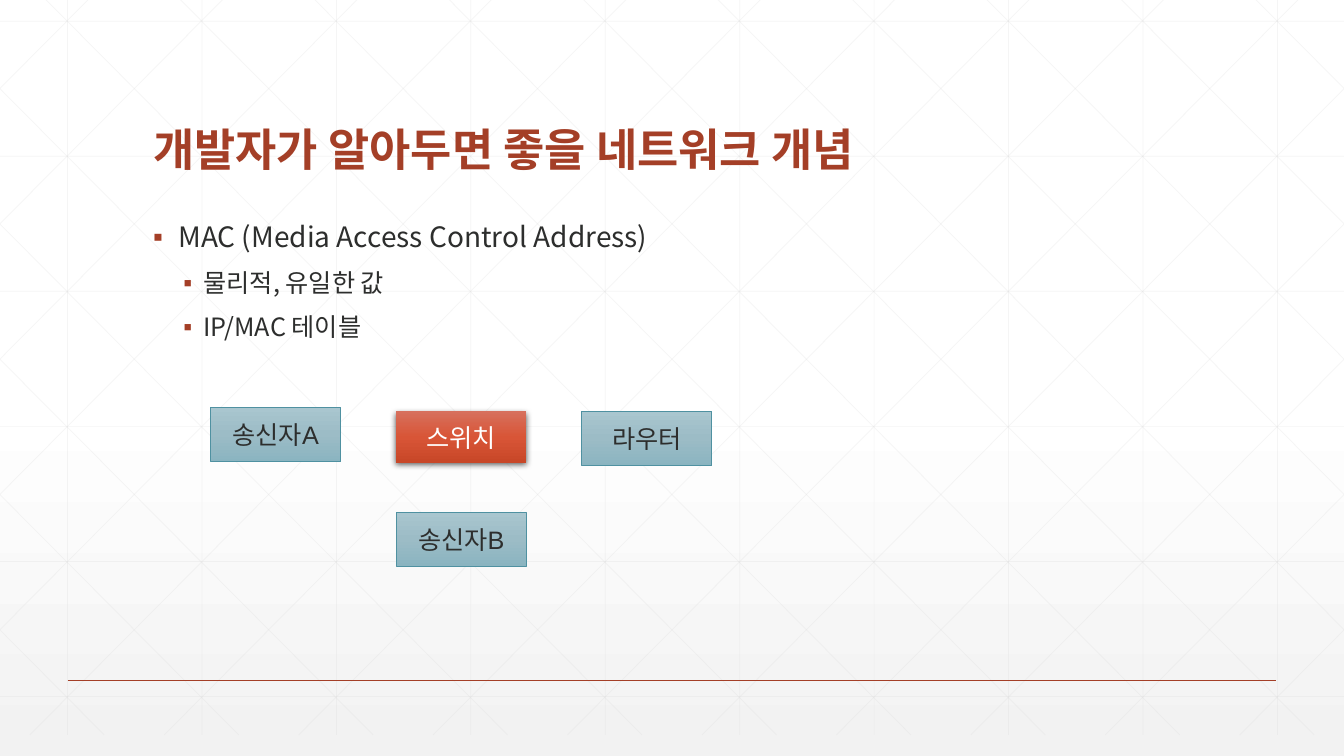
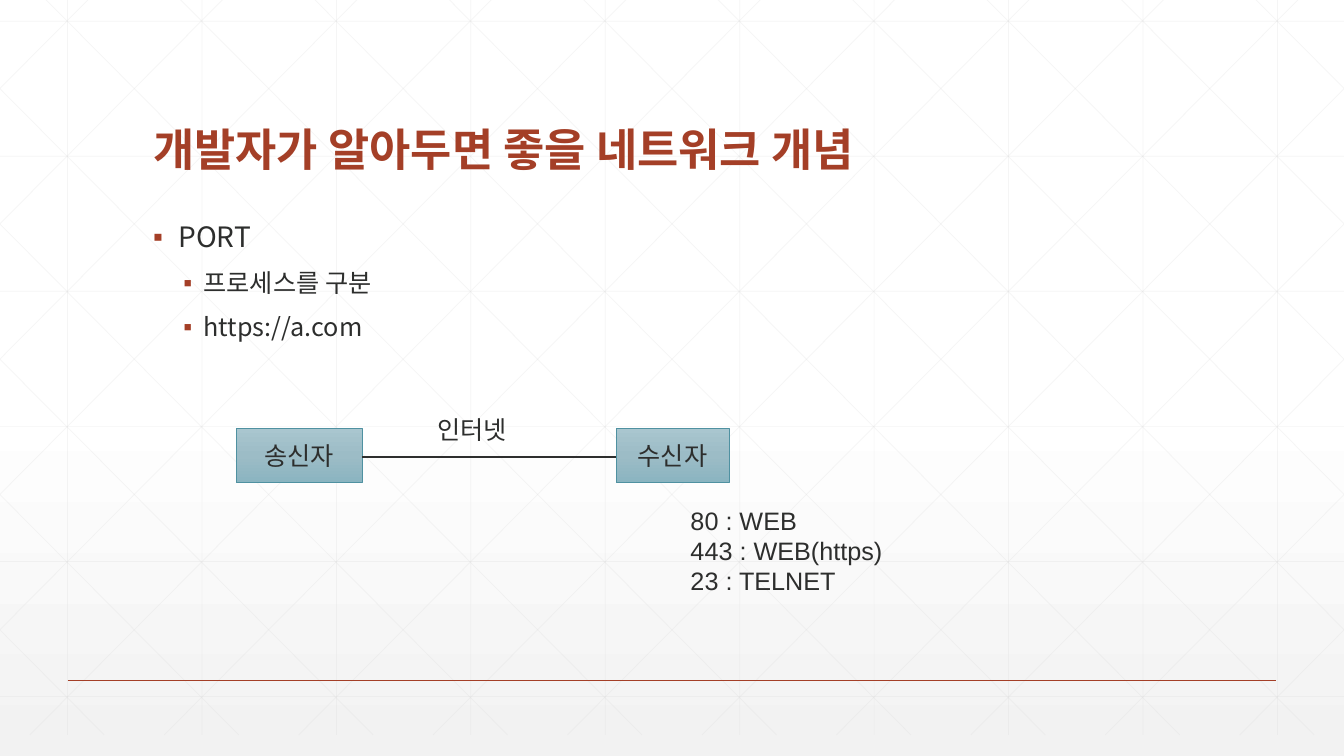
from copy import deepcopy
from dataclasses import dataclass

from lxml import etree
from pptx import Presentation
from pptx.dml.color import RGBColor
from pptx.enum import shapes, text
from pptx.oxml.ns import qn
from pptx.util import Inches, Pt


@dataclass(frozen=True)
class Theme:
    accent: str = "A43F27"
    ink: str = "2D2E2D"
    white: str = "FFFFFF"
    grid: str = "D9D9D9"
    box_line: str = "4F91A1"
    backdrop: tuple[str, ...] = ("FFFFFF", "FFFFFF", "F2F2F2")
    box_fill: tuple[str, ...] = ("A9C6CF", "9CBCC6", "8AB4C0")
    switch_fill: tuple[str, ...] = ("D7705D", "D85537", "C84728")
    heading_font: str = "Noto Sans CJK KR"
    label_font: str = "Arial"
    title_size: int = 32
    topic_size: int = 20
    text_size: int = 18


@dataclass(frozen=True)
class Box:
    label: str
    left: float
    top: float
    width: float = 1.29
    height: float = 0.54
    raised: bool = False


@dataclass(frozen=True)
class Note:
    lines: str
    left: float
    top: float
    width: float
    height: float


THEME = Theme()
TITLE = "개발자가 알아두면 좋을 네트워크 개념"
WIDTH, HEIGHT = 13.33, 7.5
GRID_TOP, GRID_BOTTOM = -0.21, 7.29
COLUMN_STEP, ROW_STEP = 4 / 3, 1.34
DIAGONAL_RUN = 7.45
MARGIN = 0.67


def style_runs(p, font: str, size: int, color: str, bold: bool = False) -> None:
    for r in p.runs:
        r.font.name = font
        r.font.size = Pt(size)
        r.font.bold = bold
        r.font.color.rgb = RGBColor.from_string(color)
        east_asian = etree.SubElement(r._r.get_or_add_rPr(), qn("a:ea"))
        east_asian.set("typeface", THEME.heading_font)


def apply_gradient(fill, element, colors: tuple[str, ...], middle: float = 0.5) -> None:
    """Give the fill three stops running from top to bottom."""
    fill.gradient()
    fill.gradient_angle = 270
    stop_list = next(element.iter(qn("a:gsLst")))
    stop_list.insert(1, deepcopy(stop_list[0]))
    for stop, color, position in zip(fill.gradient_stops, colors, (0, middle, 1)):
        stop.color.rgb = RGBColor.from_string(color)
        stop.position = position


def add_line(
    parent,
    start: tuple[float, float],
    end: tuple[float, float],
    color: str,
    width: float,
    opacity: int = 100,
) -> None:
    c = parent.add_connector(
        shapes.MSO_CONNECTOR.STRAIGHT, *(Inches(v) for v in (*start, *end))
    )
    c.line.width = Pt(width)
    c.line.color.rgb = RGBColor.from_string(color)
    if opacity < 100:
        rgb = next(c.element.iter(qn("a:srgbClr")))
        etree.SubElement(rgb, qn("a:alpha")).set("val", str(opacity * 1000))
    etree.SubElement(c.element.spPr, qn("a:effectLst"))


def grid_lines() -> list[tuple[tuple[float, float], tuple[float, float]]]:
    """Columns, rows, and mirrored diagonals clipped to the slide's sides."""
    lines = []
    for i in range(10):
        x = MARGIN + COLUMN_STEP * i
        lines.append(((x, GRID_TOP), (x, GRID_BOTTOM)))
    for i in range(6):
        y = 0.21 + ROW_STEP * i
        lines.append(((0, y), (WIDTH, y)))
    slope = (GRID_BOTTOM - GRID_TOP) / DIAGONAL_RUN
    for i in range(-5, 10):
        x = 0.25 + COLUMN_STEP * i
        x1, x2 = max(x, 0), min(x + DIAGONAL_RUN, WIDTH)
        y1, y2 = (GRID_TOP + (edge - x) * slope for edge in (x1, x2))
        lines.append(((x1, y1), (x2, y2)))
        lines.append(((WIDTH - x1, y1), (WIDTH - x2, y2)))
    return lines


def decorate_layout(layout, s) -> None:
    """Draw the backdrop on a slide, then hand it to the layout all slides share."""
    apply_gradient(layout.background.fill, layout.element, THEME.backdrop, 0.53)
    for ph in list(layout.placeholders):
        if ph.placeholder_format.idx != 0:
            ph.element.getparent().remove(ph.element)
    backdrop = s.shapes.add_group_shape()
    for start, end in grid_lines():
        add_line(backdrop.shapes, start, end, THEME.grid, 0.5, opacity=25)
    add_line(
        backdrop.shapes, (MARGIN, 6.75), (WIDTH - MARGIN, 6.75), THEME.accent, 1
    )
    layout.shapes.element.append(backdrop.element)


def set_title(s) -> None:
    sp = s.shapes.title
    sp.left, sp.top = Inches(1.42), Inches(0.55)
    sp.width, sp.height = Inches(10.5), Inches(1.25)
    tf = sp.text_frame
    tf.text = TITLE
    tf.vertical_anchor = text.MSO_ANCHOR.BOTTOM
    p = tf.paragraphs[0]
    p.alignment = text.PP_ALIGN.LEFT
    p.line_spacing = 0.9
    style_runs(p, THEME.heading_font, THEME.title_size, THEME.accent, bold=True)


def add_bullet(p, left: float, hanging: float) -> None:
    pPr = p._p.get_or_add_pPr()
    pPr.set("marL", str(Inches(left)))
    pPr.set("indent", str(-Inches(hanging)))
    color = etree.SubElement(pPr, qn("a:buClr"))
    etree.SubElement(color, qn("a:srgbClr")).set("val", THEME.accent)
    etree.SubElement(pPr, qn("a:buFont")).set("typeface", THEME.label_font)
    etree.SubElement(pPr, qn("a:buChar")).set("char", "▪")


def add_topic(s, topic: str, details: list[str]) -> None:
    sp = s.shapes.add_textbox(Inches(1.42), Inches(2.17), Inches(10.5), Inches(4.17))
    tf = sp.text_frame
    tf.word_wrap = True
    tf.auto_size = text.MSO_AUTO_SIZE.TEXT_TO_FIT_SHAPE
    tf.text = "\n".join([topic, *details])
    for i, p in enumerate(tf.paragraphs):
        p.line_spacing = 0.9
        if i == 0:
            add_bullet(p, 0.25, 0.25)
            size = THEME.topic_size
        else:
            p.level = 1
            p.space_before = Pt(12)
            add_bullet(p, 0.5, 0.2)
            size = THEME.text_size
        style_runs(p, THEME.heading_font, size, THEME.ink)


def add_shadow(sp) -> None:
    effects = sp.element.spPr.find(qn("a:effectLst"))
    shadow = etree.SubElement(
        effects,
        qn("a:outerShdw"),
        blurRad=str(Pt(4.5)),
        dist=str(Pt(1.5)),
        dir="5400000",
        rotWithShape="0",
    )
    color = etree.SubElement(shadow, qn("a:srgbClr"), val="000000")
    etree.SubElement(color, qn("a:alpha"), val="63000")


def add_box(s, box: Box) -> None:
    sp = s.shapes.add_shape(
        shapes.MSO_SHAPE.RECTANGLE,
        *(Inches(v) for v in (box.left, box.top, box.width, box.height)),
    )
    sp.shadow.inherit = False
    fill = THEME.switch_fill if box.raised else THEME.box_fill
    apply_gradient(sp.fill, sp.element, fill)
    if box.raised:
        sp.line.fill.background()
        add_shadow(sp)
    else:
        sp.line.color.rgb = RGBColor.from_string(THEME.box_line)
        sp.line.width = Pt(0.5)
    tf = sp.text_frame
    tf.text = box.label
    tf.vertical_anchor = text.MSO_ANCHOR.MIDDLE
    p = tf.paragraphs[0]
    p.alignment = text.PP_ALIGN.CENTER
    color = THEME.white if box.raised else THEME.ink
    style_runs(p, THEME.label_font, THEME.text_size, color)


def add_note(s, note: Note) -> None:
    sp = s.shapes.add_textbox(
        *(Inches(v) for v in (note.left, note.top, note.width, note.height))
    )
    tf = sp.text_frame
    tf.text = note.lines
    tf.word_wrap = False
    tf.auto_size = text.MSO_AUTO_SIZE.SHAPE_TO_FIT_TEXT
    for p in tf.paragraphs:
        style_runs(p, THEME.label_font, THEME.text_size, THEME.ink)


def fill_mac_slide(s) -> None:
    set_title(s)
    add_topic(
        s,
        "MAC (Media Access Control Address)",
        ["물리적, 유일한 값", "IP/MAC 테이블"],
    )
    sender_x, switch_x, router_x = (2.09 + 1.84 * i for i in range(3))
    for box in (
        Box("송신자A", sender_x, 4.04),
        Box("스위치", switch_x, 4.08, height=0.51, raised=True),
        Box("송신자B", switch_x, 5.08),
        Box("라우터", router_x, 4.08),
    ):
        add_box(s, box)


def fill_port_slide(s) -> None:
    set_title(s)
    add_topic(s, "PORT", ["프로세스를 구분", "https://a.com"])
    sender = Box("송신자", 2.34, 4.25, width=1.25)
    receiver = Box("수신자", 6.11, 4.25, width=1.12)
    for box in (sender, receiver):
        add_box(s, box)
    link_y = 4.53
    add_line(
        s.shapes,
        (sender.left + sender.width, link_y),
        (receiver.left, link_y),
        THEME.ink,
        1.5,
    )
    for note in (
        Note("인터넷", 4.24, 4.06, 0.96, 0.4),
        Note("80 : WEB\n443 : WEB(https)\n23 : TELNET", 6.75, 4.96, 2.12, 1.01),
    ):
        add_note(s, note)


def main() -> None:
    prs = Presentation()
    prs.slide_width, prs.slide_height = Inches(WIDTH), Inches(HEIGHT)
    layout = prs.slide_layouts[5]
    mac_slide, port_slide = (prs.slides.add_slide(layout) for _ in range(2))
    decorate_layout(layout, mac_slide)
    fill_mac_slide(mac_slide)
    fill_port_slide(port_slide)
    prs.save("out.pptx")


if __name__ == "__main__":
    main()
